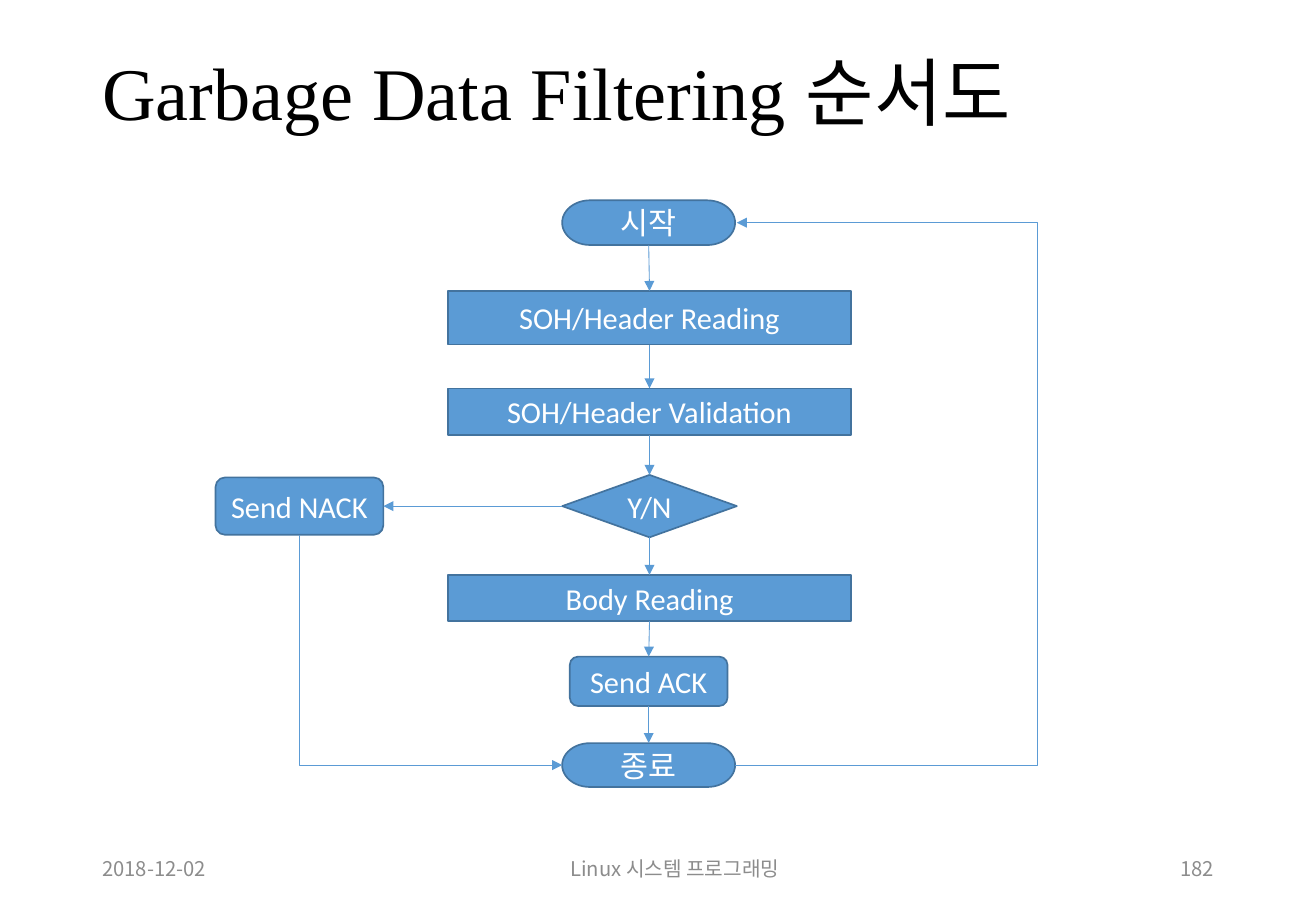
"""Build the flowchart slide for garbage data filtering."""
from pptx import Presentation
from pptx.dml.color import RGBColor
from pptx.enum.shapes import MSO_CONNECTOR, MSO_SHAPE
from pptx.enum.text import MSO_ANCHOR, PP_ALIGN
from pptx.oxml.ns import qn
from pptx.util import Pt
from lxml import etree

LEFT, CENTER, RIGHT = PP_ALIGN.LEFT, PP_ALIGN.CENTER, PP_ALIGN.RIGHT
MIDDLE = MSO_ANCHOR.MIDDLE
STRAIGHT, ELBOW = MSO_CONNECTOR.STRAIGHT, MSO_CONNECTOR.ELBOW
TERMINATOR = MSO_SHAPE.FLOWCHART_TERMINATOR
PROCESS = MSO_SHAPE.FLOWCHART_PROCESS
DECISION = MSO_SHAPE.FLOWCHART_DECISION
ALTERNATE = MSO_SHAPE.FLOWCHART_ALTERNATE_PROCESS
TOP_SITE, LEFT_SITE, BOTTOM_SITE, RIGHT_SITE = range(4)
BLUE, DARK_BLUE, WHITE, BLACK, GRAY = "5B9BD5", "43739E", "FFFFFF", "000000", "8C8C8C"
KOREAN_FONT = "Noto Sans CJK KR"


def color(value):
    return RGBColor.from_string(value)


def write(shape, text, alignment, font_name, size, text_color):
    frame = shape.text_frame
    frame.word_wrap = True
    frame.vertical_anchor = MIDDLE
    paragraph = frame.paragraphs[0]
    paragraph.alignment = alignment
    run = paragraph.add_run()
    run.text = text
    for name, value in {"name": font_name, "size": Pt(size)}.items():
        setattr(run.font, name, value)
    run.font.color.rgb = color(text_color)
    east_asian = etree.SubElement(run._r.get_or_add_rPr(), qn("a:ea"))
    east_asian.set("typeface", KOREAN_FONT)
    return paragraph


presentation = Presentation()
presentation.slide_width, presentation.slide_height = Pt(780), Pt(540)
slide = presentation.slides.add_slide(presentation.slide_layouts[5])

title = slide.shapes.title
title_box = {"left": 53.5, "top": 28.75, "width": 672.75, "height": 57}
for name, value in title_box.items():
    setattr(title, name, Pt(value))
paragraph = write(title, "Garbage Data Filtering 순서도", LEFT, "Times New Roman", 44, BLACK)
paragraph.line_spacing = 0.9

footers = [
    ("2018-12-02", 53.5, 91.5, LEFT),
    ("Linux 시스템 프로그래밍", 320.5, 159, CENTER),
    ("182", 688.25, 38.25, RIGHT),
]
for text, left, width, alignment in footers:
    box = slide.shapes.add_textbox(Pt(left), Pt(500.5), Pt(width), Pt(28.75))
    write(box, text, alignment, KOREAN_FONT, 12, GRAY)

steps = {
    "start": (TERMINATOR, "시작", 384.5, 118.75, 102.5, 26.5),
    "header": (PROCESS, "SOH/Header Reading", 385, 172.5, 238.5, 31.75),
    "validation": (PROCESS, "SOH/Header Validation", 385, 230.25, 238.5, 27.5),
    "decision": (DECISION, "Y/N", 385, 281.5, 103.5, 37),
    "nack": (ALTERNATE, "Send NACK", 177.5, 283, 99.5, 34),
    "body": (PROCESS, "Body Reading", 385, 340.75, 238.5, 27.5),
    "ack": (ALTERNATE, "Send ACK", 384.5, 389.25, 93.5, 29.25),
    "end": (TERMINATOR, "종료", 384.5, 440.5, 102.5, 26),
}
shapes = {}
for key, (kind, text, center, top, width, height) in steps.items():
    shape = slide.shapes.add_shape(kind, Pt(center - width / 2), Pt(top), Pt(width), Pt(height))
    shape.shadow.inherit = False
    shape.fill.solid()
    shape.fill.fore_color.rgb = color(BLUE)
    shape.line.color.rgb = color(DARK_BLUE)
    shape.line.width = Pt(1)
    write(shape, text, CENTER, "Calibri", 18, WHITE)
    shapes[key] = shape

main_flow = ["start", "header", "validation", "decision", "body", "ack", "end"]
links = [(STRAIGHT, source, BOTTOM_SITE, target, TOP_SITE)
         for source, target in zip(main_flow, main_flow[1:])]
links += [
    (STRAIGHT, "decision", LEFT_SITE, "nack", RIGHT_SITE),
    (ELBOW, "nack", BOTTOM_SITE, "end", LEFT_SITE),
]
arrows = []
for kind, source, source_site, target, target_site in links:
    connector = slide.shapes.add_connector(kind, 0, 0, 0, 0)
    connector.begin_connect(shapes[source], source_site)
    connector.end_connect(shapes[target], target_site)
    arrows.append(connector)

corner = arrows[-1]
across, down = corner.width, corner.height
corner.left += (across - down) // 2
corner.top += (down - across) // 2
corner.width, corner.height = down, across
transform = corner._element.spPr.find(qn("a:xfrm"))
transform.set("rot", "16200000")
transform.set("flipH", "1")
corner._element.spPr.find(qn("a:prstGeom")).set("prst", "bentConnector2")

start, end = shapes["start"], shapes["end"]
start_middle = start.top + start.height // 2
end_middle = end.top + end.height // 2
loop_column = Pt(615)
builder = slide.shapes.build_freeform(end.left + end.width, end_middle)
builder.add_line_segments(
    [(loop_column, end_middle), (loop_column, start_middle),
     (start.left + start.width + Pt(1), start_middle)],
    close=False,
)
return_loop = builder.convert_to_shape()
return_loop.fill.background()
arrows.append(return_loop)

for arrow in arrows:
    arrow.line.color.rgb = color(BLUE)
    arrow.line.width = Pt(0.5)
    tail = etree.SubElement(arrow.line._get_or_add_ln(), qn("a:tailEnd"))
    tail.set("type", "triangle")
    etree.SubElement(arrow._element.spPr, qn("a:effectLst"))

presentation.save("out.pptx")
